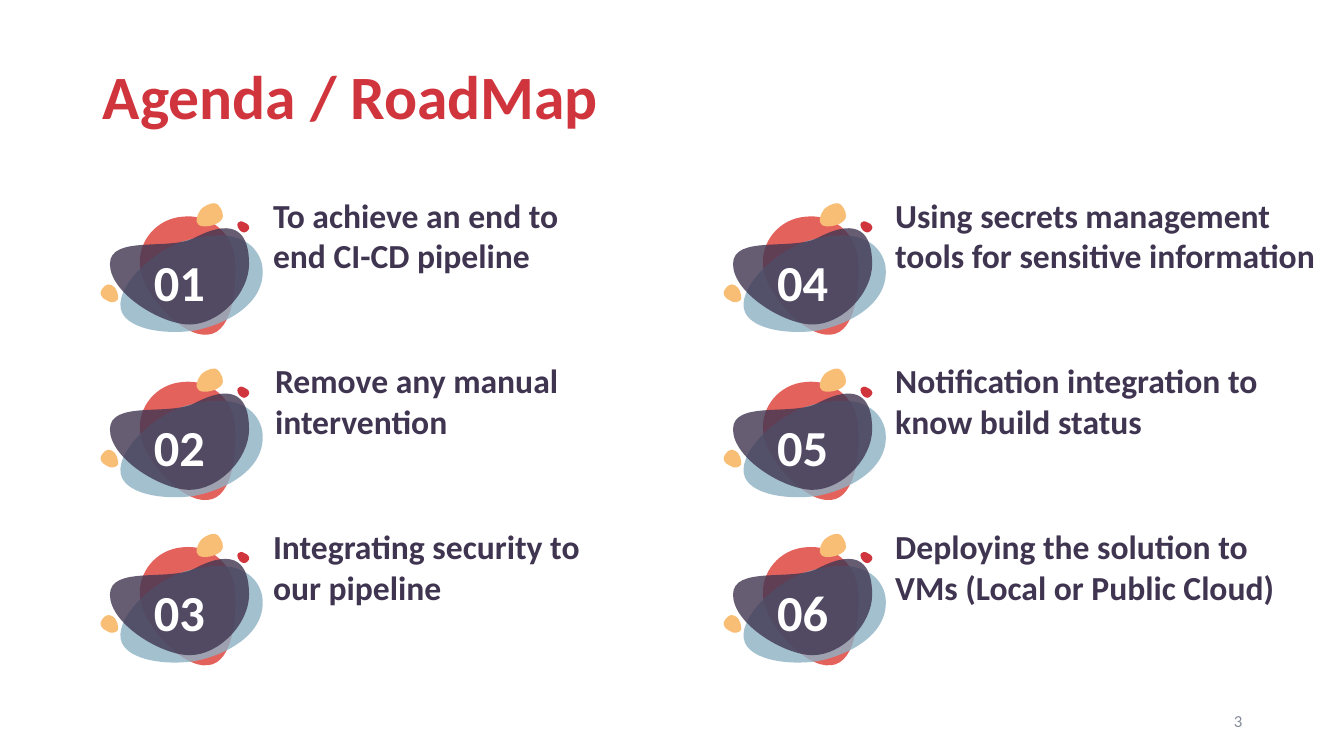
from pptx import Presentation, util as u
from pptx.dml.color import RGBColor
from pptx.enum import text as t
from pptx.oxml.ns import qn
from lxml import etree

RED, PLUM, CORAL, BLUE, GOLD = "D0343C", "403551", "E4625C", "8DB1C4", "F9BE75"

# Each blob of the first badge: fill, opacity in percent, start point, curves.
BLOBS = [
    (CORAL, 100, (1.39, 2.65), [
        (1.41, 2.9, 1.8, 3.35, 2.06, 3.32), (2.32, 3.3, 2.35, 2.81, 2.33, 2.56),
        (2.3, 2.3, 2.07, 2.12, 1.81, 2.15), (1.55, 2.17, 1.36, 2.4, 1.39, 2.65)]),
    (BLUE, 80, (1.21, 3.1), [
        (1.29, 3.27, 1.64, 3.32, 1.92, 3.28), (2.21, 3.23, 2.66, 3.02, 2.6, 2.63),
        (2.57, 2.48, 2.41, 2.22, 1.83, 2.39), (1.5, 2.49, 1.11, 2.88, 1.21, 3.1)]),
    (PLUM, 80, (1.09, 2.62), [
        (1.09, 2.91, 1.6, 3.22, 1.88, 3.22), (2.17, 3.22, 2.47, 2.91, 2.47, 2.62),
        (2.47, 2.33, 2.35, 2.14, 1.93, 2.36), (1.68, 2.49, 1.09, 2.33, 1.09, 2.62)]),
    (GOLD, 100, (1.97, 2.23), [
        (2, 2.26, 2.13, 2.25, 2.19, 2.19), (2.24, 2.14, 2.19, 2.06, 2.16, 2.03),
        (2.13, 2, 2.06, 2.02, 2, 2.07), (1.95, 2.13, 1.93, 2.2, 1.97, 2.23)]),
    (GOLD, 100, (1.17, 2.97), [
        (1.18, 2.94, 1.16, 2.85, 1.11, 2.83), (1.06, 2.8, 1.02, 2.85, 1, 2.89),
        (0.99, 2.92, 1.01, 2.96, 1.06, 2.98), (1.1, 3.01, 1.15, 3, 1.17, 2.97)]),
    (RED, 100, (2.36, 2.21), [
        (2.34, 2.23, 2.37, 2.29, 2.4, 2.3), (2.43, 2.32, 2.46, 2.29, 2.47, 2.27),
        (2.48, 2.25, 2.46, 2.22, 2.43, 2.21), (2.4, 2.19, 2.37, 2.19, 2.36, 2.21)]),
]

# Agenda items, column by column: text, left edge, width.
ITEMS = [
    ("To achieve an end to end CI-CD pipeline", 2.61, 3.26),
    ("Remove any manual intervention", 2.63, 3.26),
    ("Integrating security to our pipeline", 2.61, 3.26),
    ("Using secrets management tools for sensitive information", 8.78, 4.42),
    ("Notification integration to know build status", 8.78, 4.02),
    ("Deploying the solution to VMs (Local or Public Cloud)", 8.78, 4.02),
]


def rgb(code):
    return RGBColor.from_string(code)


def write(shape, words, size, color, align, anchor, bold=True, **frame):
    """Fill a shape with one paragraph; frame holds text frame settings."""
    body = shape.text_frame
    body.text = words
    frame = {"word_wrap": True, "vertical_anchor": anchor, **frame}
    for key, value in frame.items():
        setattr(body, key, value)
    para = body.paragraphs[0]
    para.alignment = align
    font = para.runs[0].font
    for key, value in {"name": "Calibri", "size": u.Pt(size), "bold": bold}.items():
        setattr(font, key, value)
    font.color.rgb = rgb(color)


deck = Presentation()
deck.slide_width, deck.slide_height = u.Inches(13.33), u.Inches(7.5)
slide = deck.slides.add_slide(deck.slide_layouts[5])
left, mid = t.PP_ALIGN.LEFT, t.MSO_ANCHOR.MIDDLE

title = slide.shapes.title
title.left, title.top = u.Inches(0.92), u.Inches(0.37)
title.width, title.height = u.Inches(11.5), u.Inches(1.24)
write(title, "Agenda / RoadMap", 44, RED, left, mid, auto_size=t.MSO_AUTO_SIZE.NONE)
title.text_frame.paragraphs[0].line_spacing = 0.9

inset = dict.fromkeys(
    ("margin_left", "margin_top", "margin_right", "margin_bottom"), u.Inches(0.04))

for i, (words, x, width) in enumerate(ITEMS):
    col, row = divmod(i, 3)
    dx, dy = u.Inches(col * 6.18), u.Inches(row * 1.64)
    badge = slide.shapes.add_group_shape()
    badge.name = f"Badge {i + 1:02}"
    for color, alpha, start, curves in BLOBS:
        nodes = [(u.Inches(px) + dx, u.Inches(py) + dy)
                 for px, py in [start] + [curve[4:] for curve in curves]]
        pen = badge.shapes.build_freeform(*nodes[0])
        pen.add_line_segments(nodes[1:], close=True)
        blob = pen.convert_to_shape()
        # Bend each straight side into its cubic curve.
        sides = list(blob.element.iter(qn("a:lnTo")))
        for side, curve in zip(sides, curves):
            bend = etree.Element(qn("a:cubicBezTo"))
            for px, py in zip(curve[::2], curve[1::2]):
                etree.SubElement(bend, qn("a:pt"),
                                 x=str(u.Inches(px) + dx - blob.left),
                                 y=str(u.Inches(py) + dy - blob.top))
            side.getparent().replace(side, bend)
        blob.shadow.inherit = False
        blob.line.fill.background()
        blob.fill.solid()
        blob.fill.fore_color.rgb = rgb(color)
        if alpha < 100:
            tint = next(blob.element.spPr.iter(qn("a:srgbClr")))
            etree.SubElement(tint, qn("a:alpha"), val=str(alpha * 1000))
        if color == PLUM:
            write(blob, f"{i + 1:02}", 36, "FFFFFF", t.PP_ALIGN.CENTER, mid, **inset)

    label = slide.shapes.add_textbox(
        u.Inches(x), u.Inches(1.72 + row * 1.645), u.Inches(width), u.Inches(1.01))
    write(label, words, 24, PLUM, left, t.MSO_ANCHOR.BOTTOM,
          margin_top=u.Inches(0.2), margin_bottom=0,
          auto_size=t.MSO_AUTO_SIZE.SHAPE_TO_FIT_TEXT)

number = slide.shapes.add_textbox(
    u.Inches(9.42), u.Inches(6.95), u.Inches(3), u.Inches(0.4))
write(number, "3", 12, "848B98", t.PP_ALIGN.RIGHT, mid, bold=False)

deck.save("out.pptx")
